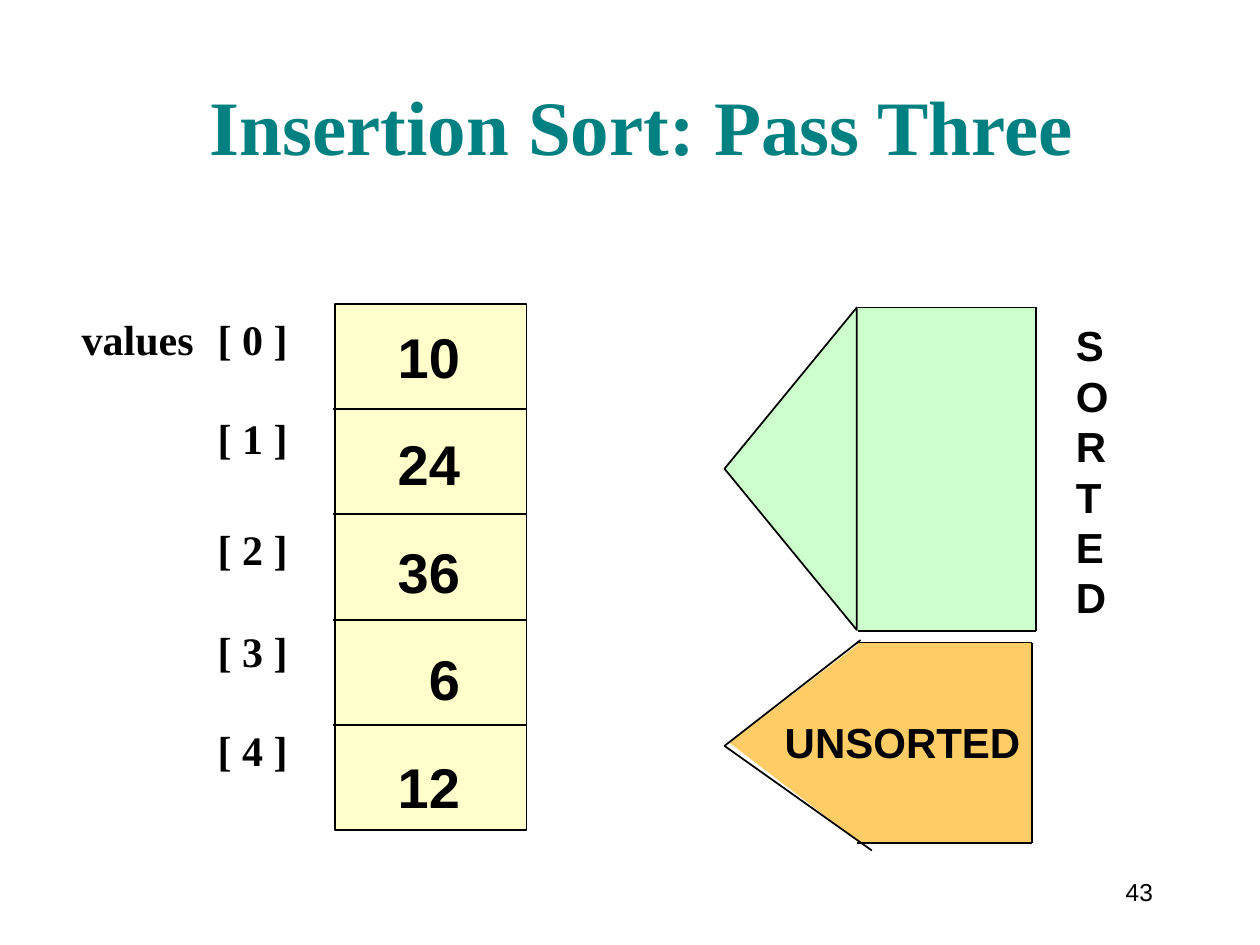
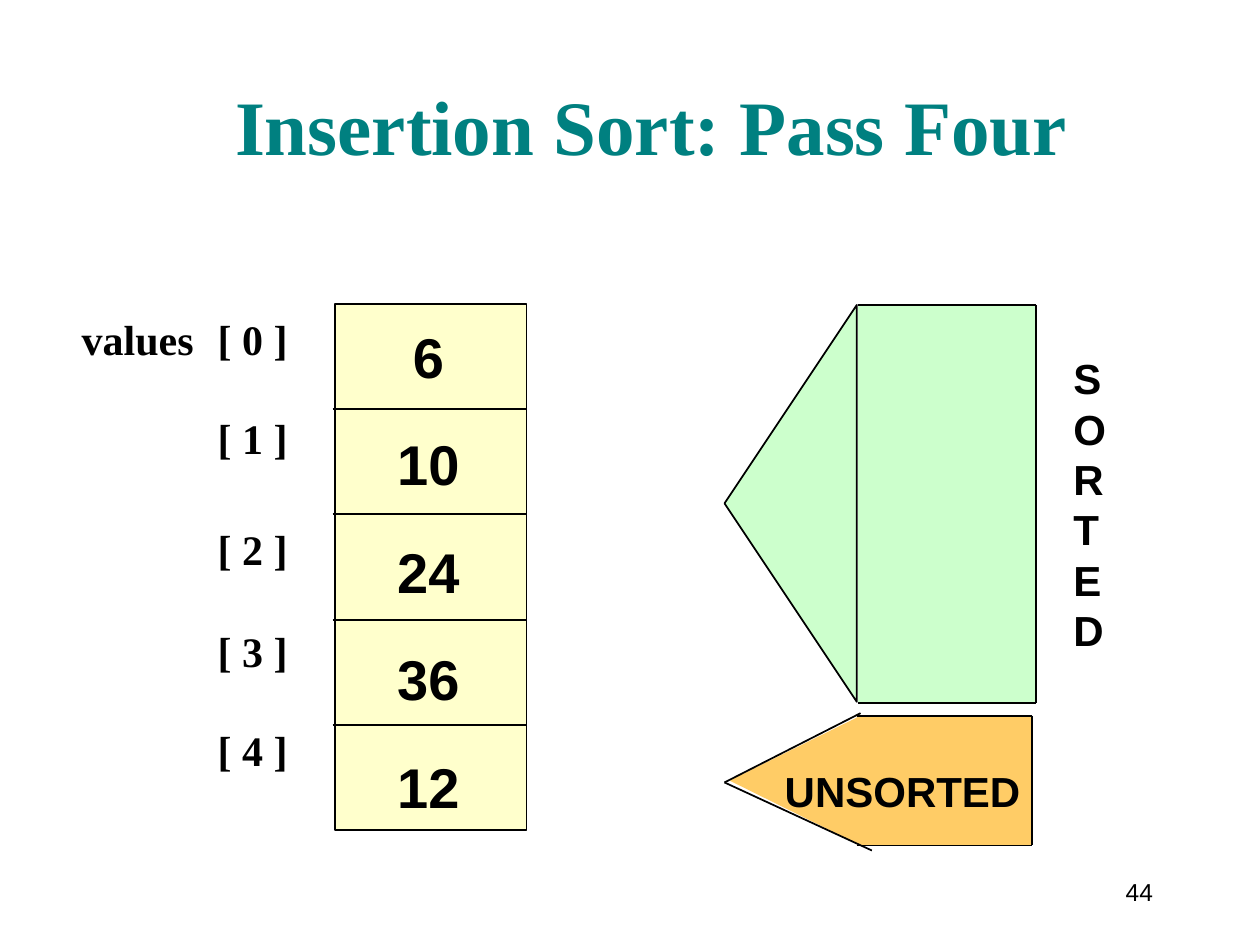
from lxml.etree import SubElement
from pptx import Presentation
from pptx.dml.color import RGBColor
from pptx.enum.shapes import MSO_CONNECTOR, MSO_SHAPE
from pptx.enum.text import MSO_ANCHOR, MSO_AUTO_SIZE, PP_ALIGN
from pptx.oxml.ns import qn
from pptx.util import Inches, Pt

# The slide is a grid of 10 columns by 7.5 rows.
COLUMNS, ROWS = 10, 7.5
CELL = Inches(1)

BLACK, TEAL = "000000", "008080"
CREAM, GREEN, ORANGE = "FFFFCC", "CCFFCC", "FFCC66"
SANS, SERIF = "Arial", "Times New Roman"

TITLE_FORMAT = {"name": SERIF, "size": Pt(44), "bold": True}
INDEX_FORMAT = {"name": SERIF, "size": Pt(24), "bold": True}
VALUE_FORMAT = {"name": SANS, "size": Pt(32), "bold": True}
LABEL_FORMAT = {"name": SANS, "size": Pt(24), "bold": True}
NUMBER_FORMAT = {"name": SANS, "size": Pt(14), "bold": False}

INDEX_LINES = ["values\t[ 0 ]", "\t[ 1 ]", "\t[ 2 ]", "\t[ 3 ]", "\t[ 4 ]"]
INDEX_GAPS = [0, 27.6, 34.5, 30, 27.6]
INDEX_TAB = 1.08
VALUE_GAP = 23

ARRAY_LEFT, ARRAY_TOP, ARRAY_WIDTH, ARRAY_HEIGHT = 2.66, 2.41, 1.52, 4.18
ARROW_TIP = 5.75

PASSES = [
    {"title": "Insertion Sort: Pass Three ", "number": "43",
     "values": ["10", "24", "36", "6", "12"], "align": PP_ALIGN.RIGHT,
     "sorted": {"top": 2.44, "bottom": 5.01, "label_at": (8.44, 2.49)},
     "unsorted": {"top": 5.1, "bottom": 6.69, "tip": 5.92, "label_at": (6.13, 5.64)}},
    {"title": "Insertion Sort: Pass Four", "number": "44",
     "values": ["6", "10", "24", "36", "12"], "align": PP_ALIGN.CENTER,
     "sorted": {"top": 2.42, "bottom": 5.58, "label_at": (8.42, 2.75)},
     "unsorted": {"top": 5.68, "bottom": 6.71, "tip": 6.21, "label_at": (6.13, 6.03)}},
]


def grid(*lengths):
    return [int(length * CELL) for length in lengths]


def color(hex_code):
    return RGBColor.from_string(hex_code)


def write(frame, lines, font_format, ink=BLACK, align=PP_ALIGN.LEFT, gaps=None):
    """Put one paragraph per line; gaps are the points above each paragraph."""
    for index, line in enumerate(lines):
        para = frame.paragraphs[0] if index == 0 else frame.add_paragraph()
        para.alignment = align
        para.space_before = Pt(gaps[index] if gaps else 0)
        span = para.add_run()
        span.text = line
        for name, value in font_format.items():
            setattr(span.font, name, value)
        span.font.color.rgb = color(ink)


def add_text(page, at, lines, font_format, wrap=False, **options):
    box = page.shapes.add_textbox(*grid(*at))
    box.text_frame.word_wrap = wrap
    write(box.text_frame, lines, font_format, **options)
    return box


def add_filled(page, preset, at, fill, outlined=False):
    shape = page.shapes.add_shape(preset, *grid(*at))
    shape.shadow.inherit = False
    shape.fill.solid()
    shape.fill.fore_color.rgb = color(fill)
    if outlined:
        shape.line.color.rgb = color(BLACK)
        shape.line.width = Pt(1)
    else:
        shape.line.fill.background()
    return shape


def add_left_triangle(page, left, top, width, height, fill, outlined=False):
    """Turn an upright triangle so that it fills the given area and points left."""
    at = (left + (width - height) / 2, top + (height - width) / 2, height, width)
    add_filled(page, MSO_SHAPE.ISOSCELES_TRIANGLE, at, fill, outlined).rotation = 270


def add_line(page, start, end):
    line = page.shapes.add_connector(MSO_CONNECTOR.STRAIGHT, *grid(*start, *end))
    line.line.color.rgb = color(BLACK)
    line.line.width = Pt(1)
    SubElement(line._element.spPr, qn("a:effectLst"))


def add_open_block(page, left, right, top, bottom, fill):
    """A block with lines on its top, bottom and right sides only."""
    add_filled(page, MSO_SHAPE.RECTANGLE, (left, top, right - left, bottom - top), fill)
    add_line(page, (left, top), (right, top))
    add_line(page, (left, bottom), (right, bottom))
    add_line(page, (right, top), (right, bottom))


def set_title(page, text):
    title = page.shapes.title
    title.left, title.top, title.width, title.height = grid(1.53, 0.16, 7.28, 1.25)
    title.text_frame.auto_size = MSO_AUTO_SIZE.NONE
    title.text_frame.vertical_anchor = MSO_ANCHOR.BOTTOM
    write(title.text_frame, [text], TITLE_FORMAT, TEAL, PP_ALIGN.CENTER)


def add_index(page):
    box = add_text(page, (0.55, 2.44, 2.43, 3.86), INDEX_LINES, INDEX_FORMAT,
                   wrap=True, gaps=INDEX_GAPS)
    for para in box.text_frame.paragraphs:
        tabs = SubElement(para._p.get_or_add_pPr(), qn("a:tabLst"))
        SubElement(tabs, qn("a:tab"), pos=str(int(INDEX_TAB * CELL)), algn="l")


def add_array(page, values, align):
    add_filled(page, MSO_SHAPE.RECTANGLE,
               (ARRAY_LEFT, ARRAY_TOP, ARRAY_WIDTH, ARRAY_HEIGHT), CREAM, outlined=True)
    for row in range(1, len(values)):
        top = ARRAY_TOP + row * ARRAY_HEIGHT / len(values)
        add_line(page, (ARRAY_LEFT - 0.02, top), (ARRAY_LEFT + ARRAY_WIDTH, top))
    gaps = [0] + [VALUE_GAP] * (len(values) - 1)
    add_text(page, (3.05, 2.51, 0.7, 4.1), values, VALUE_FORMAT, align=align, gaps=gaps)


def add_sorted(page, top, bottom, label_at):
    add_left_triangle(page, ARROW_TIP, top, 1.05, bottom - top - 0.01, GREEN, outlined=True)
    add_open_block(page, 6.81, 8.22, top, bottom, GREEN)
    add_text(page, (*label_at, 0.46, 2.5), list("SORTED"), LABEL_FORMAT)


def add_unsorted(page, top, bottom, tip, label_at):
    add_left_triangle(page, ARROW_TIP + 0.04, top, 1.04, bottom - top, ORANGE)
    add_open_block(page, 6.8, 8.19, top, bottom, ORANGE)
    add_line(page, (ARROW_TIP, tip), (6.83, top - 0.02))
    add_line(page, (ARROW_TIP, tip), (6.92, 6.75))
    add_text(page, (*label_at, 2.07, 0.5), ["UNSORTED"], LABEL_FORMAT)


def add_page_number(page, number):
    box = add_text(page, (8.58, 6.83, 0.67, 0.5), [number], NUMBER_FORMAT,
                   align=PP_ALIGN.RIGHT)
    box.text_frame.vertical_anchor = MSO_ANCHOR.MIDDLE


def main():
    deck = Presentation()
    deck.slide_width, deck.slide_height = grid(COLUMNS, ROWS)
    for step in PASSES:
        page = deck.slides.add_slide(deck.slide_layouts[5])
        set_title(page, step["title"])
        add_index(page)
        add_array(page, step["values"], step["align"])
        add_sorted(page, **step["sorted"])
        add_unsorted(page, **step["unsorted"])
        add_page_number(page, step["number"])
    deck.save("out.pptx")


if __name__ == "__main__":
    main()
